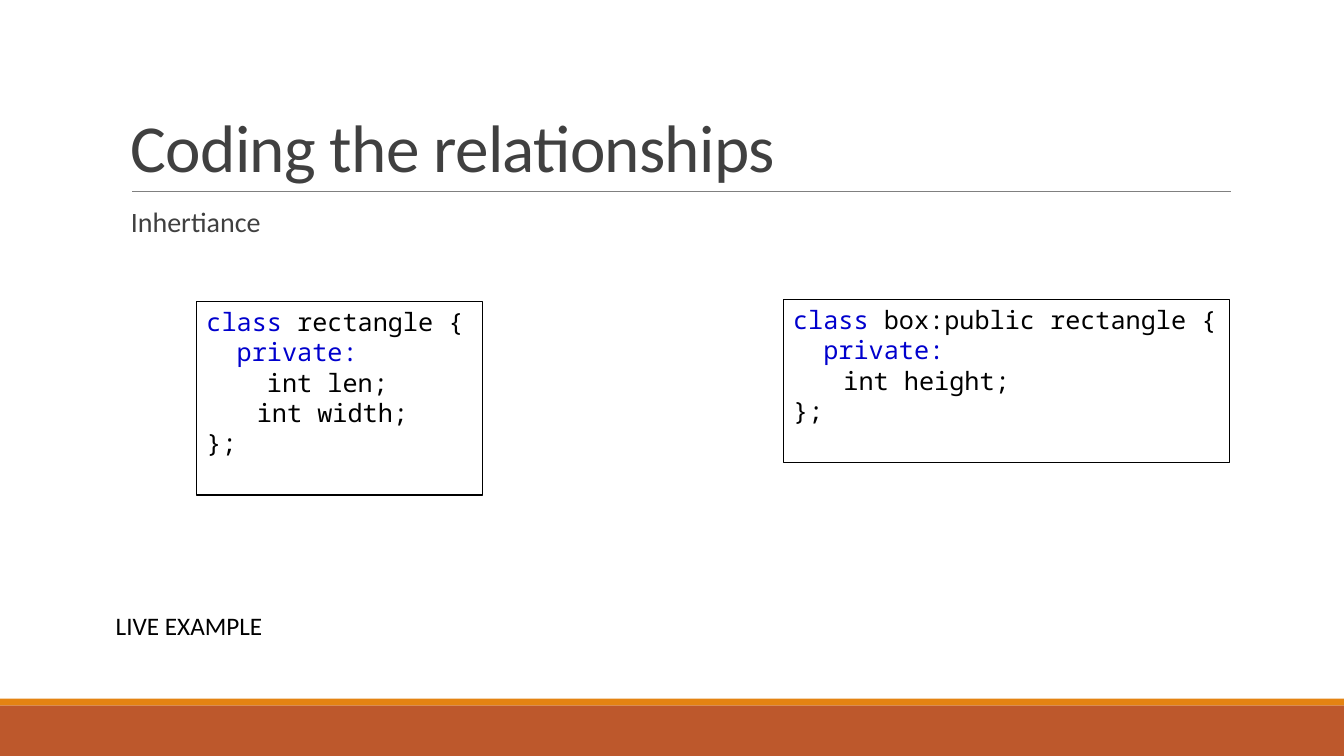
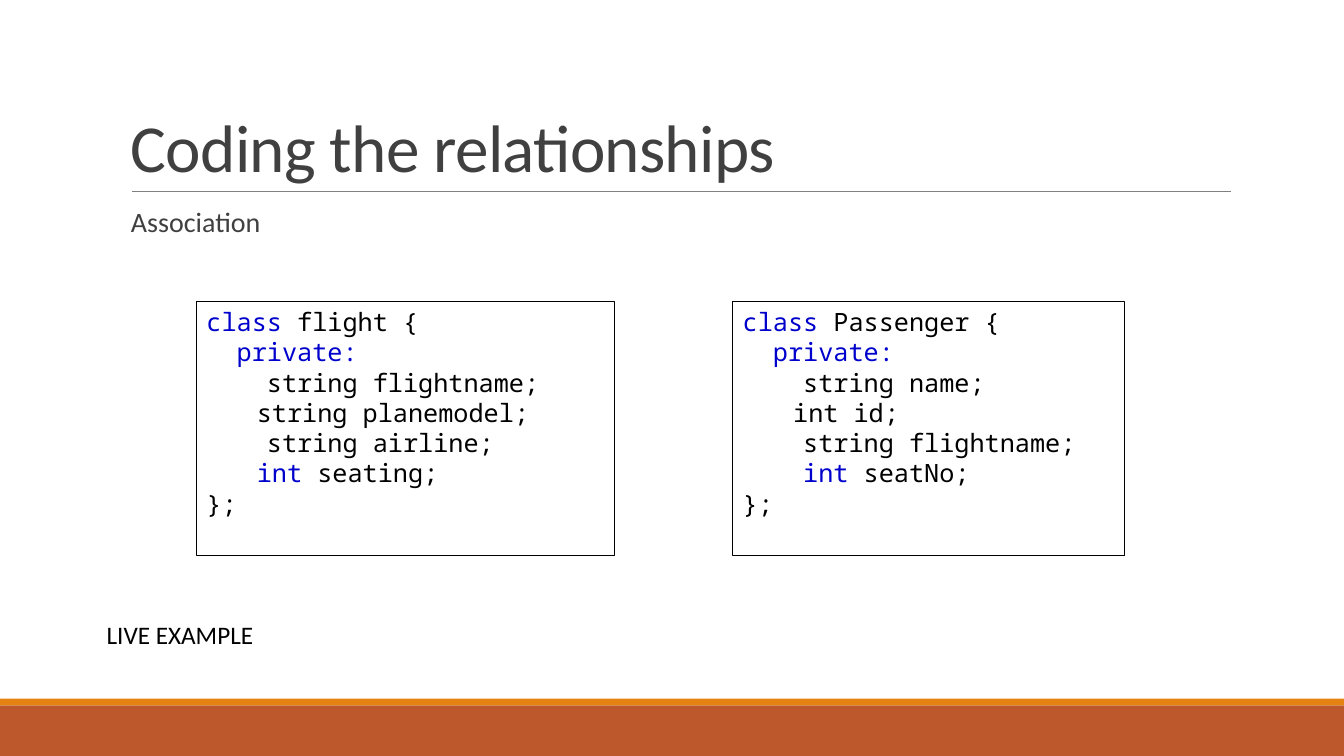
"""Build two slides that show class relationships as code."""
from pptx import Presentation
from pptx.dml.color import RGBColor
from pptx.enum.shapes import MSO_CONNECTOR, MSO_SHAPE
from pptx.enum.text import MSO_ANCHOR, PP_ALIGN
from pptx.util import Inches, Pt
from lxml import etree

RECTANGLE = MSO_SHAPE.RECTANGLE
STRAIGHT = MSO_CONNECTOR.STRAIGHT
TOP, BOTTOM = MSO_ANCHOR.TOP, MSO_ANCHOR.BOTTOM
LEFT = PP_ALIGN.LEFT
DRAWING = "{http://schemas.openxmlformats.org/drawingml/2006/main}"

COLUMNS, ROWS = 40, 25
COLUMN, ROW = Inches(1 / 3), Inches(0.3)

COLORS = {
    "band": "BD582C",
    "stripe": "E48312",
    "rule": "808080",
    "heading": "404040",
    "keyword": "0000CD",
    "text": "000000",
}
FONTS = {
    "title": {"name": "Calibri", "size": Pt(48)},
    "subtitle": {"name": "Calibri", "size": Pt(20)},
    "code": {"name": "Noto Sans Mono", "size": Pt(18)},
    "note": {"name": "Calibri", "size": Pt(18)},
}
BANDS = [("band", 23.33, 1.67), ("stripe", 23.1, 0.23)]

SLIDES = [
    {
        "subtitle": "Inhertiance",
        "note": (3.15, 20.03),
        "classes": [
            (5.85, 9.97, 8.52, [
                (0, "class ", "rectangle {"),
                (0.9, "private:", ""),
                (1.8, "", "int len;"),
                (1.5, "", "int width;"),
                (0, "", "};"),
            ]),
            (23.31, 9.9, 13.29, [
                (0, "class ", "box:public rectangle {"),
                (0.9, "private:", ""),
                (1.5, "", "int height;"),
                (0, "", "};"),
            ]),
        ],
    },
    {
        "subtitle": "Association",
        "note": (2.88, 20.3),
        "classes": [
            (5.85, 9.97, 12.45, [
                (0, "class ", "flight {"),
                (0.9, "private:", ""),
                (1.8, "", "string flightname;"),
                (1.5, "", "string planemodel;"),
                (1.8, "", "string airline;"),
                (1.5, "int ", "seating;"),
                (0, "", "};"),
            ]),
            (21.81, 9.97, 11.67, [
                (0, "class ", "Passenger {"),
                (0.9, "private:", ""),
                (1.8, "", "string name;"),
                (1.5, "", "int id;"),
                (1.8, "", "string flightname;"),
                (1.8, "int ", "seatNo;"),
                (0, "", "};"),
            ]),
        ],
    },
]


def grid(left, top, width, height):
    """Turn columns and rows into lengths."""
    return [round(left * COLUMN), round(top * ROW), round(width * COLUMN), round(height * ROW)]


def write(shape, lines, style, anchor=TOP, spacing=1.0):
    """Fill a shape with lines of (indent, [(color, text), ...])."""
    frame = shape.text_frame
    frame.word_wrap = True
    frame.vertical_anchor = anchor
    for index, (indent, pieces) in enumerate(lines):
        paragraph = frame.add_paragraph() if index else frame.paragraphs[0]
        paragraph.alignment = LEFT
        paragraph.line_spacing = spacing
        if indent:
            paragraph._p.get_or_add_pPr().set("marL", str(round(indent * COLUMN)))
        for color, text in pieces:
            if not text:
                continue
            run = paragraph.add_run()
            run.text = text
            for attribute, value in FONTS[style].items():
                setattr(run.font, attribute, value)
            run.font.color.rgb = RGBColor.from_string(COLORS[color])
            if style == "title":
                run._r.get_or_add_rPr().set("spc", "-50")


presentation = Presentation()
presentation.slide_width = COLUMNS * COLUMN
presentation.slide_height = ROWS * ROW

for content in SLIDES:
    slide = presentation.slides.add_slide(presentation.slide_layouts[6])
    shapes = slide.shapes

    for color, top, height in BANDS:
        band = shapes.add_shape(RECTANGLE, *grid(0, top, COLUMNS, height))
        band.shadow.inherit = False
        band.fill.solid()
        band.fill.fore_color.rgb = RGBColor.from_string(COLORS[color])
        band.line.fill.background()

    rule = shapes.add_connector(STRAIGHT, *grid(3.93, 6.33, 36.63, 6.33))
    rule.line.color.rgb = RGBColor.from_string(COLORS["rule"])
    rule.line.width = Pt(0.5)
    etree.SubElement(rule._element.spPr, DRAWING + "effectLst")

    title = shapes.add_textbox(*grid(3.6, 1.03, 33, 5.3))
    write(title, [(0, [("heading", "Coding the relationships")])], "title", BOTTOM, 0.85)

    subtitle = shapes.add_textbox(*grid(3.6, 6.73, 33, 14.67))
    write(subtitle, [(0, [("heading", content["subtitle"])])], "subtitle", spacing=0.9)

    for left, top, width, code in content["classes"]:
        box = shapes.add_shape(RECTANGLE, *grid(left, top, width, len(code) + 1.4))
        box.shadow.inherit = False
        box.fill.background()
        box.line.color.rgb = RGBColor.from_string(COLORS["text"])
        box.line.width = Pt(0.75)
        lines = [(indent, [("keyword", word), ("text", rest)]) for indent, word, rest in code]
        write(box, lines, "code")

    note = shapes.add_textbox(*grid(*content["note"], 9.69, 1.33))
    write(note, [(0, [("text", "LIVE EXAMPLE")])], "note")

presentation.save("out.pptx")
